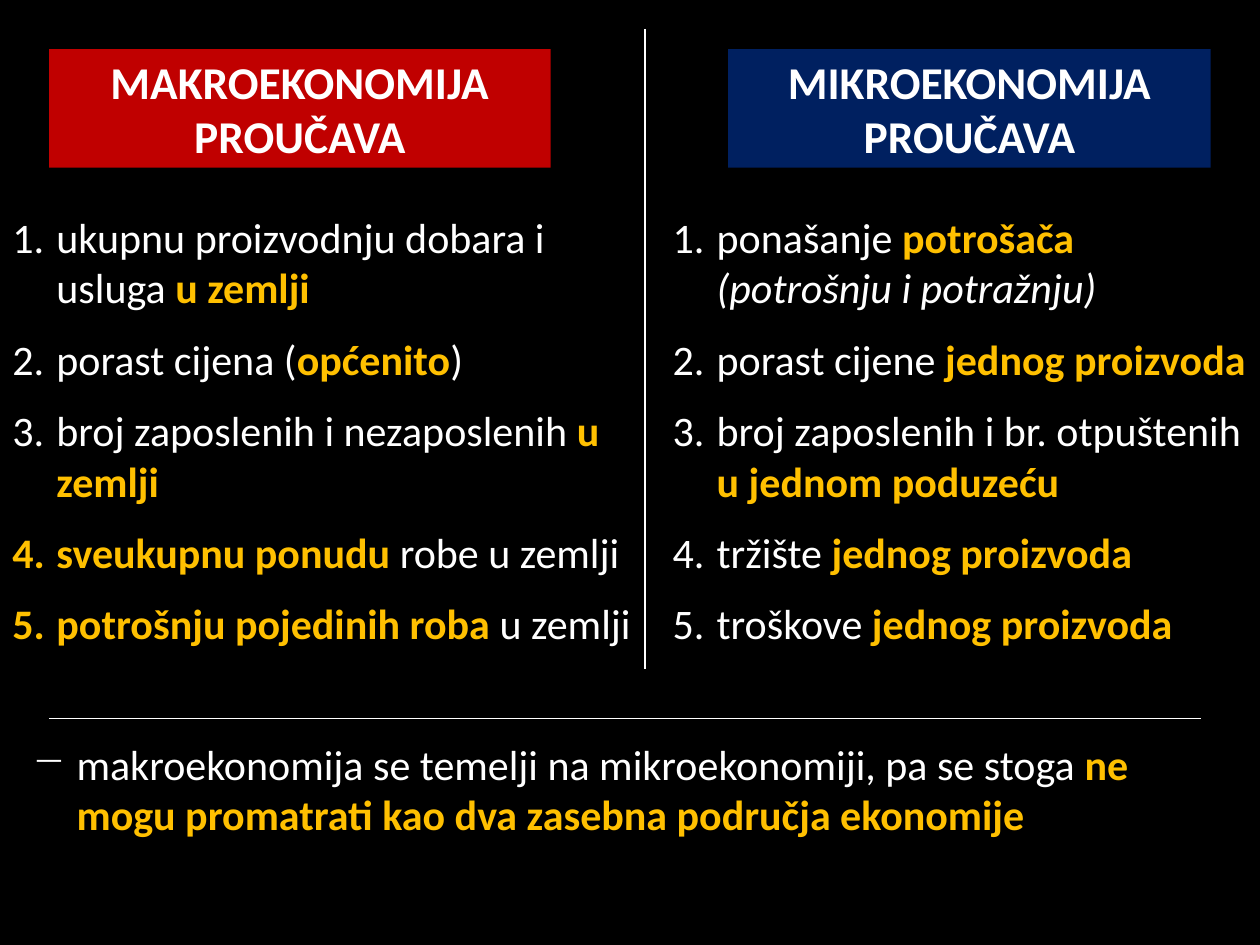
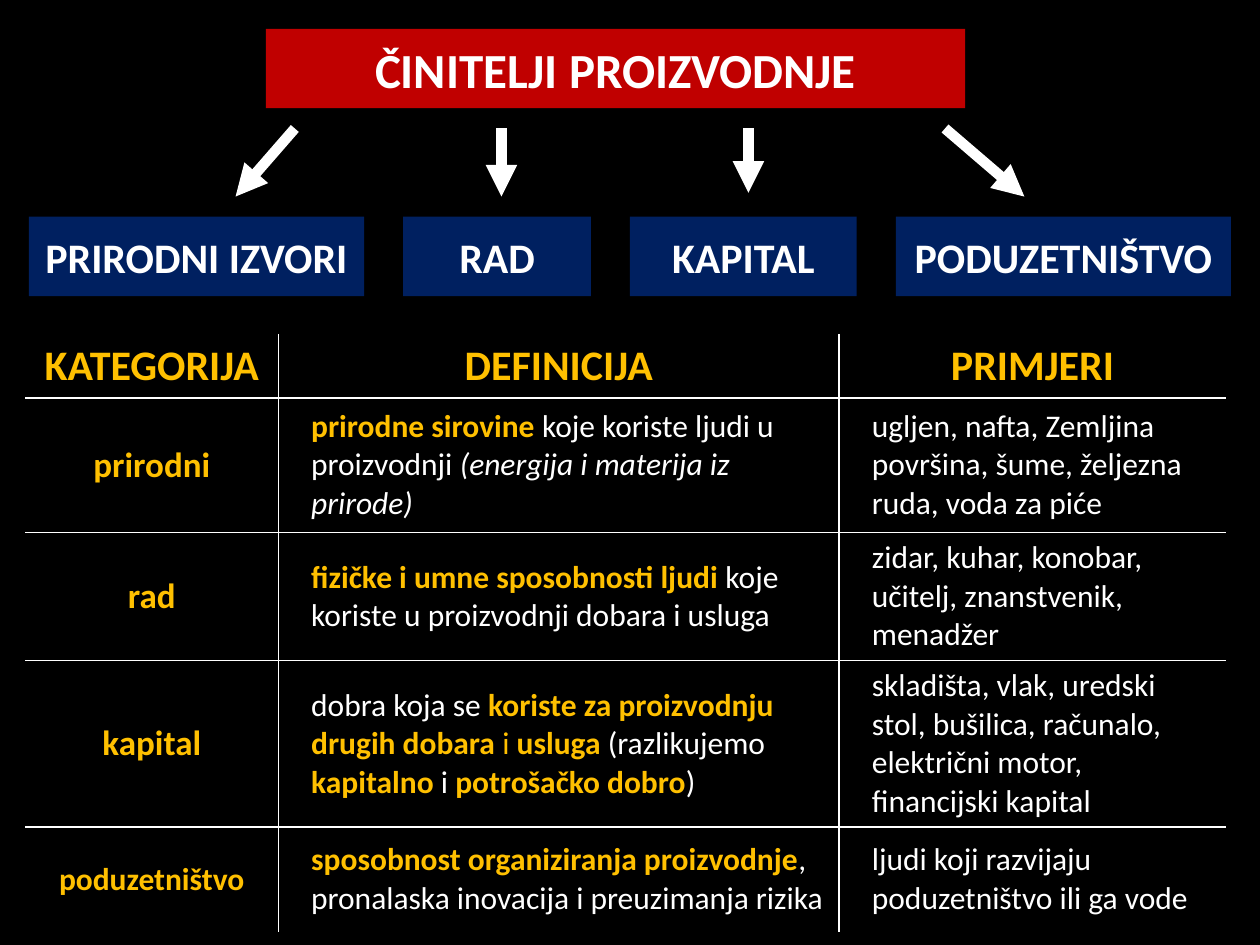
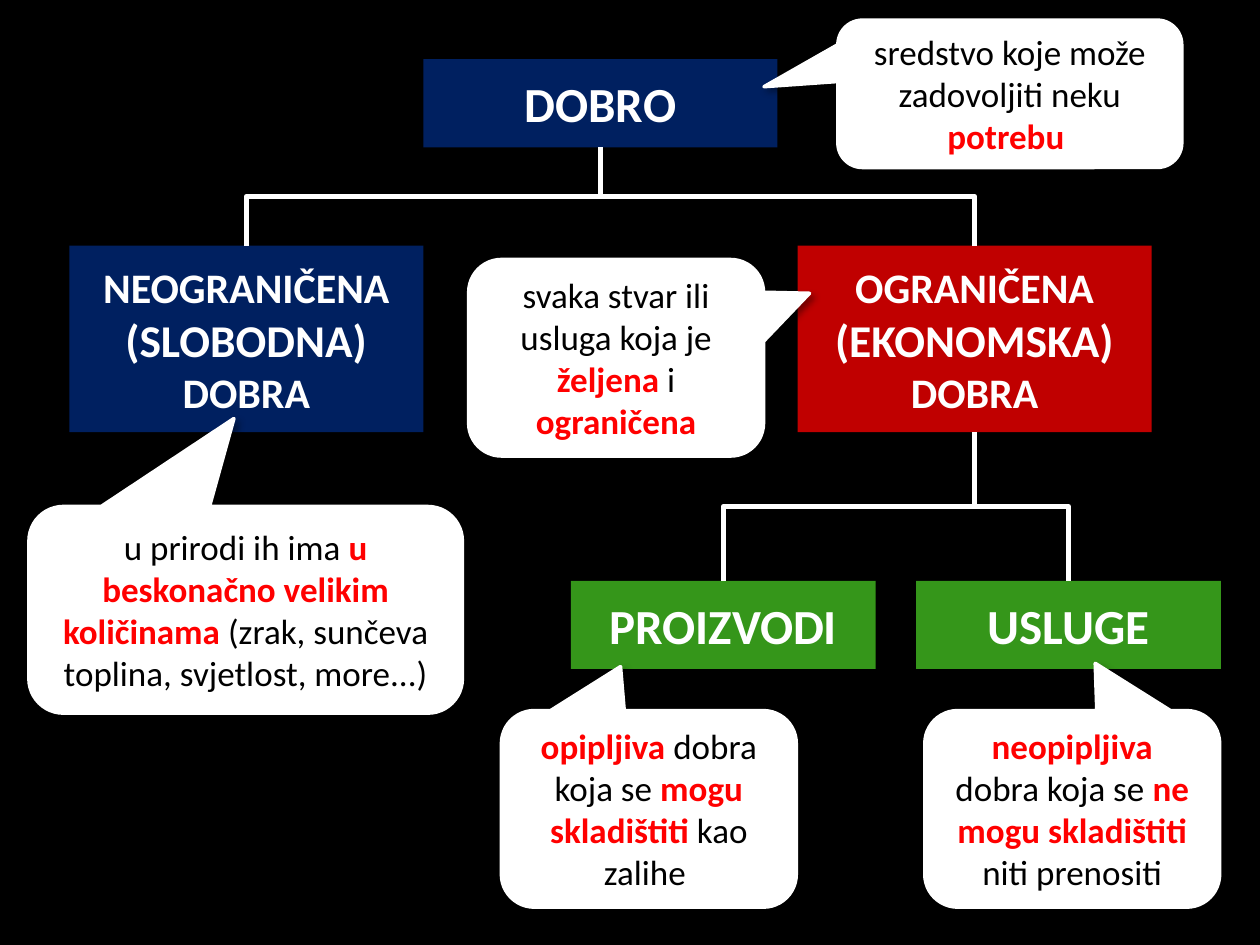
from dataclasses import dataclass
from itertools import accumulate
from typing import Optional

from lxml import etree
from pptx import Presentation
from pptx.dml.color import RGBColor
from pptx.enum.shapes import MSO_CONNECTOR, MSO_SHAPE
from pptx.enum.text import MSO_ANCHOR, MSO_AUTO_SIZE, PP_ALIGN
from pptx.oxml.ns import qn
from pptx.shapes.autoshape import Shape
from pptx.shapes.connector import Connector
from pptx.slide import Slide
from pptx.table import _Cell
from pptx.text.text import TextFrame, _Paragraph
from pptx.util import Emu, Inches, Pt

RECTANGLE = MSO_SHAPE.RECTANGLE
CALLOUT = MSO_SHAPE.ROUNDED_RECTANGULAR_CALLOUT
STRAIGHT = MSO_CONNECTOR.STRAIGHT
ELBOW = MSO_CONNECTOR.ELBOW
CENTER = PP_ALIGN.CENTER
LEFT = PP_ALIGN.LEFT
MIDDLE = MSO_ANCHOR.MIDDLE
FIT_TEXT = MSO_AUTO_SIZE.SHAPE_TO_FIT_TEXT

FONT = "Calibri"
COLORS = {
    "black": "000000",
    "white": "FFFFFF",
    "red": "C00000",
    "navy": "002060",
    "green": "35961A",
    "amber": "FFC000",
    "alert": "FF0000",
}
BOTTOM, TOP = 2, 0


@dataclass(frozen=True)
class Span:
    text: str
    color: Optional[str] = None
    bold: Optional[bool] = None
    italic: Optional[bool] = None
    size: Optional[int] = None


@dataclass(frozen=True)
class Style:
    size: int
    color: str = "white"
    bold: bool = False
    align: PP_ALIGN = LEFT


@dataclass(frozen=True)
class Box:
    left: float
    top: float
    width: float
    height: float

    def emu(self) -> tuple:
        return tuple(Inches(v) for v in (self.left, self.top, self.width, self.height))


@dataclass(frozen=True)
class Panel:
    spans: list
    box: Box
    fill: str
    size: int


@dataclass(frozen=True)
class Callout:
    spans: list
    box: Box
    tip: tuple


@dataclass(frozen=True)
class NumberedList:
    box: Box
    items: list


@dataclass(frozen=True)
class Category:
    name: str
    definition: list
    examples: str
    name_size: int = 20


def amber(text: str) -> Span:
    return Span(text, "amber", True)


def alert(text: str) -> Span:
    return Span(text, "alert", True)


def rgb(name: str) -> RGBColor:
    return RGBColor.from_string(COLORS[name])


def write(paragraph: _Paragraph, spans: list, style: Style) -> None:
    paragraph.alignment = style.align
    font = paragraph.font
    font.name = FONT
    font.size = Pt(style.size)
    font.bold = style.bold
    font.color.rgb = rgb(style.color)
    for span in spans:
        run = paragraph.add_run()
        run.text = span.text
        if span.color:
            run.font.color.rgb = rgb(span.color)
        if span.bold is not None:
            run.font.bold = span.bold
        if span.italic:
            run.font.italic = True
        if span.size:
            run.font.size = Pt(span.size)


def add_filled(slide: Slide, kind: MSO_SHAPE, box: Box, fill: str) -> Shape:
    shape = slide.shapes.add_shape(kind, *box.emu())
    shape.shadow.inherit = False
    shape.fill.solid()
    shape.fill.fore_color.rgb = rgb(fill)
    shape.line.fill.background()
    shape.text_frame.word_wrap = True
    shape.text_frame.vertical_anchor = MIDDLE
    return shape


def add_panel(slide: Slide, panel: Panel) -> Shape:
    shape = add_filled(slide, RECTANGLE, panel.box, panel.fill)
    write(shape.text_frame.paragraphs[0], panel.spans, Style(panel.size, bold=True, align=CENTER))
    return shape


def add_callout(slide: Slide, callout: Callout) -> None:
    shape = add_filled(slide, CALLOUT, callout.box, "white")
    shape.line.color.rgb = rgb("white")
    shape.line.width = Pt(2)
    for index, value in enumerate((*callout.tip, 0.167)):
        shape.adjustments[index] = value
    effects = shape.element.spPr.find(qn("a:effectLst"))
    shadow = etree.SubElement(
        effects, qn("a:outerShdw"), blurRad=str(Pt(4)), dist=str(Pt(3)), dir="2700000"
    )
    color = etree.SubElement(shadow, qn("a:srgbClr"), val=COLORS["black"])
    etree.SubElement(color, qn("a:alpha"), val="40000")
    write(shape.text_frame.paragraphs[0], callout.spans, Style(20, "black", align=CENTER))


def style_line(connector: Connector, width: float) -> None:
    connector.line.color.rgb = rgb("white")
    connector.line.width = Pt(width)
    etree.SubElement(connector.element.spPr, qn("a:effectLst"))


def add_line(slide: Slide, start: tuple, end: tuple, width: float, arrow: bool = False) -> None:
    ends = [Inches(value) for value in (*start, *end)]
    connector = slide.shapes.add_connector(STRAIGHT, *ends)
    style_line(connector, width)
    if arrow:
        line = connector.element.spPr.find(qn("a:ln"))
        etree.SubElement(line, qn("a:tailEnd"), type="triangle")


def add_branch(slide: Slide, parent: Shape, child: Shape) -> None:
    x1, y1 = parent.left + parent.width // 2, parent.top + parent.height
    x2, y2 = child.left + child.width // 2, child.top
    connector = slide.shapes.add_connector(ELBOW, x1, y1, x2, y2)
    connector.begin_connect(parent, BOTTOM)
    connector.end_connect(child, TOP)
    drop, spread = y2 - y1, abs(x2 - x1)
    connector.left = Emu((x1 + x2 - drop) // 2)
    connector.top = Emu((y1 + y2 - spread) // 2)
    connector.width, connector.height = Emu(drop), Emu(spread)
    to_right = x2 > x1
    frame = connector.element.spPr.find(qn("a:xfrm"))
    frame.set("rot", "16200000" if to_right else "5400000")
    frame.set("flipH", "1" if to_right else "0")
    frame.set("flipV", "0")
    style_line(connector, 3)


def set_indent(paragraph: _Paragraph, left: float, first: float = 0) -> None:
    properties = paragraph._p.get_or_add_pPr()
    properties.set("marL", str(Inches(left)))
    properties.set("indent", str(Inches(first)))


def add_items(frame: TextFrame, items: list, tag: str, **bullet: str) -> None:
    for index, spans in enumerate(items):
        paragraph = frame.add_paragraph() if index else frame.paragraphs[0]
        set_indent(paragraph, 0.35, -0.35)
        if index:
            paragraph.space_before = Pt(12)
        etree.SubElement(paragraph._p.get_or_add_pPr(), qn(tag), **bullet)
        write(paragraph, spans, Style(24))


def add_text(slide: Slide, box: Box) -> TextFrame:
    frame = slide.shapes.add_textbox(*box.emu()).text_frame
    frame.word_wrap = True
    frame.auto_size = FIT_TEXT
    return frame


def set_borders(cell: _Cell, visible: dict) -> None:
    properties = cell._tc.get_or_add_tcPr()
    for index, (side, shown) in enumerate(visible.items()):
        line = etree.Element(qn(f"a:ln{side}"), w=str(Pt(1)))
        if shown:
            fill = etree.SubElement(line, qn("a:solidFill"))
            etree.SubElement(fill, qn("a:srgbClr"), val=COLORS["white"])
        else:
            etree.SubElement(line, qn("a:noFill"))
        properties.insert(index, line)


def add_factor_table(slide: Slide, headers: list, categories: list) -> None:
    widths = [2.01, 4.45, 3.07]
    heights = [0.42, 1.07, 0.8, 1.23, 0.83]
    frame = slide.shapes.add_table(
        len(heights), len(widths), *Box(0.2, 2.65, 9.53, 4.7).emu()
    )
    table = frame.table
    table.first_row = False
    table.horz_banding = False
    for column, width in zip(table.columns, widths):
        column.width = Inches(width)
    for row, height in zip(table.rows, heights):
        row.height = Inches(height)
    frame.height = Inches(4.7)

    heading = Style(24, "amber", True, CENTER)
    contents = [[([Span(header)], heading) for header in headers]]
    for category in categories:
        contents.append([
            ([Span(category.name)], Style(category.name_size, "amber", True, CENTER)),
            (category.definition, Style(18)),
            ([Span(category.examples)], Style(18)),
        ])
    last_row, last_column = len(heights) - 1, len(widths) - 1
    for r, row in enumerate(contents):
        for c, (spans, style) in enumerate(row):
            cell = table.cell(r, c)
            cell.vertical_anchor = MIDDLE
            if r == 0:
                cell.fill.solid()
                cell.fill.fore_color.rgb = rgb("black")
            else:
                cell.fill.background()
            set_borders(cell, {"L": c > 0, "R": c < last_column, "T": r > 0, "B": r < last_row})
            paragraph = cell.text_frame.paragraphs[0]
            if style.align == LEFT:
                set_indent(paragraph, 0.16)
            write(paragraph, spans, style)


def build_comparison(slide: Slide) -> None:
    for title, left, width, fill in (
        ("MAKROEKONOMIJA PROUČAVA", 0.39, 3.98, "red"),
        ("MIKROEKONOMIJA PROUČAVA", 5.78, 3.83, "navy"),
    ):
        add_panel(slide, Panel([Span(title)], Box(left, 0.39, width, 0.94), fill, 26))
    macro = NumberedList(Box(0, 1.63, 5.16, 3.6), [
        [Span("ukupnu proizvodnju dobara i usluga "), amber("u zemlji")],
        [Span("porast cijena ("), amber("općenito"), Span(")")],
        [Span("broj zaposlenih i nezaposlenih "), amber("u zemlji")],
        [amber("sveukupnu ponudu "), Span("robe u zemlji")],
        [amber("potrošnju pojedinih roba "), Span("u zemlji")],
    ])
    micro = NumberedList(Box(5.24, 1.63, 4.8, 3.6), [
        [Span("ponašanje "), amber("potrošača "), Span("(potrošnju i potražnju)", italic=True)],
        [Span("porast cijene "), amber("jednog proizvoda")],
        [Span("broj zaposlenih i br. otpuštenih "), amber("u jednom poduzeću")],
        [Span("tržište "), amber("jednog proizvoda")],
        [Span("troškove "), amber("jednog proizvoda")],
    ])
    for topic in (macro, micro):
        add_items(add_text(slide, topic.box), topic.items, "a:buAutoNum", type="arabicPeriod")
    conclusion = [
        Span("makroekonomija se temelji na mikroekonomiji, pa se stoga "),
        amber("ne mogu promatrati kao dva zasebna područja ekonomije"),
    ]
    add_items(add_text(slide, Box(0.16, 5.81, 9.3, 0.91)), [conclusion], "a:buChar", char="−")
    add_line(slide, (5.12, 0.23), (5.12, 5.31), 0.75)
    add_line(slide, (0.39, 5.7), (9.53, 5.7), 0.75)


def build_factors(slide: Slide) -> None:
    add_panel(slide, Panel([Span("ČINITELJI PROIZVODNJE")], Box(2.11, 0.23, 5.55, 0.63), "red", 28))
    for start, end, tip in ((2.34, 1.87, 1.56), (3.98, 3.98, 1.56), (5.94, 5.94, 1.53), (7.5, 8.13, 1.56)):
        add_line(slide, (start, 1.02), (end, tip), 6, arrow=True)
    factors = {"PRIRODNI IZVORI": 2.66, "RAD": 1.49, "KAPITAL": 1.8, "PODUZETNIŠTVO": 2.66}
    gap = 0.31
    lefts = accumulate((width + gap for width in factors.values()), initial=0.23)
    for (factor, width), left in zip(factors.items(), lefts):
        add_panel(slide, Panel([Span(factor)], Box(left, 1.72, width, 0.63), "navy", 24))
    add_factor_table(slide, ["KATEGORIJA", "DEFINICIJA", "PRIMJERI"], [
        Category(
            "prirodni",
            [
                amber("prirodne sirovine "),
                Span("koje koriste ljudi u proizvodnji "),
                Span("(energija i materija iz prirode)", italic=True),
            ],
            "ugljen, nafta, Zemljina površina, šume, željezna ruda, voda za piće",
        ),
        Category(
            "rad",
            [
                amber("fizičke i umne sposobnosti ljudi "),
                Span("koje koriste u proizvodnji dobara i usluga"),
            ],
            "zidar, kuhar, konobar, učitelj, znanstvenik, menadžer",
        ),
        Category(
            "kapital",
            [
                Span("dobra koja se "),
                amber("koriste za proizvodnju drugih dobara "),
                Span("i ", "amber"),
                amber("usluga"),
                Span(" (razlikujemo "),
                amber("kapitalno "),
                Span("i "),
                amber("potrošačko dobro"),
                Span(")"),
            ],
            "skladišta, vlak, uredski stol, bušilica, računalo, električni motor, financijski kapital",
        ),
        Category(
            "poduzetništvo",
            [
                amber("sposobnost organiziranja proizvodnje"),
                Span(", pronalaska inovacija i preuzimanja rizika"),
            ],
            "ljudi koji razvijaju poduzetništvo ili ga vode",
            18,
        ),
    ])


def build_goods(slide: Slide) -> None:
    good = add_panel(slide, Panel([Span("DOBRO")], Box(3.36, 0.47, 2.81, 0.7), "navy", 28))
    free, economic = (
        add_panel(slide, Panel(
            [Span(kind), Span(alias, size=26), Span("DOBRA")], Box(left, 1.95, 2.81, 1.48), fill, 24
        ))
        for kind, alias, left, fill in (
            ("NEOGRANIČENA ", "(SLOBODNA) ", 0.55, "navy"),
            ("OGRANIČENA ", "(EKONOMSKA) ", 6.33, "red"),
        )
    )
    products, services = (
        add_panel(slide, Panel([Span(label)], Box(left, 4.61, 2.42, 0.7), "green", 28))
        for label, left in (("PROIZVODI", 4.53), ("USLUGE", 7.27))
    )
    for parent, child in ((good, free), (good, economic), (economic, products), (economic, services)):
        add_branch(slide, parent, child)
    for callout in (
        Callout(
            [Span("sredstvo koje može zadovoljiti neku "), alert("potrebu ")],
            Box(6.65, 0.16, 2.73, 1.17), (-0.715, -0.048),
        ),
        Callout(
            [
                Span("u prirodi ih ima "),
                alert("u beskonačno velikim količinama "),
                Span("(zrak, sunčeva toplina, svjetlost, more...)"),
            ],
            Box(0.23, 4.02, 3.44, 1.64), (-0.027, -0.926),
        ),
        Callout(
            [Span("svaka stvar ili usluga koja je "), alert("željena "), Span("i "), alert("ograničena")],
            Box(3.72, 2.06, 2.34, 1.56), (0.656, -0.328),
        ),
        Callout(
            [alert("opipljiva "), Span("dobra koja se "), alert("mogu skladištiti "), Span("kao zalihe ")],
            Box(3.98, 5.64, 2.34, 1.56), (-0.096, -0.724),
        ),
        Callout(
            [alert("neopipljiva "), Span("dobra koja se "), alert("ne mogu skladištiti "), Span("niti prenositi")],
            Box(7.34, 5.64, 2.34, 1.56), (0.078, -0.741),
        ),
    ):
        add_callout(slide, callout)


def main() -> None:
    deck = Presentation()
    deck.slide_width, deck.slide_height = Inches(10), Inches(7.5)
    backdrop = deck.slide_master.background.fill
    backdrop.solid()
    backdrop.fore_color.rgb = rgb("black")
    blank = deck.slide_layouts[6]
    for build in (build_comparison, build_factors, build_goods):
        build(deck.slides.add_slide(blank))
    deck.save("out.pptx")


if __name__ == "__main__":
    main()
